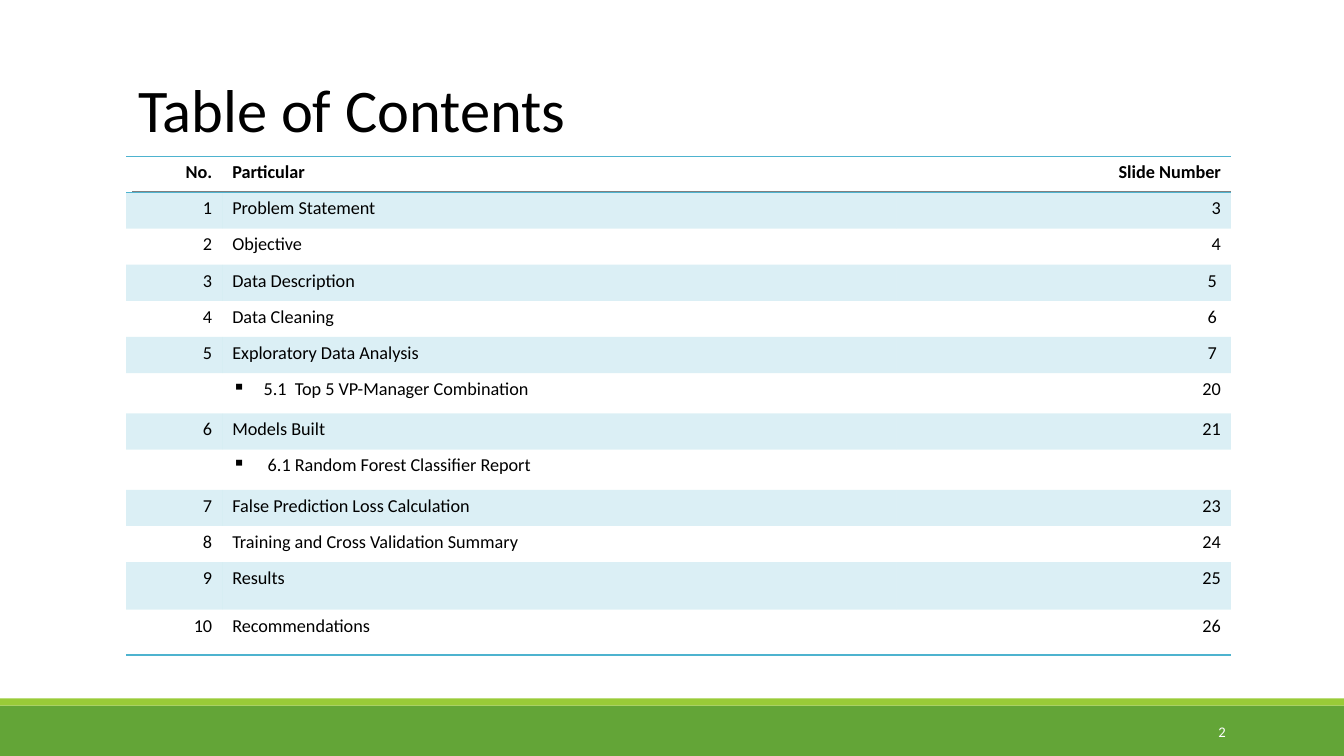
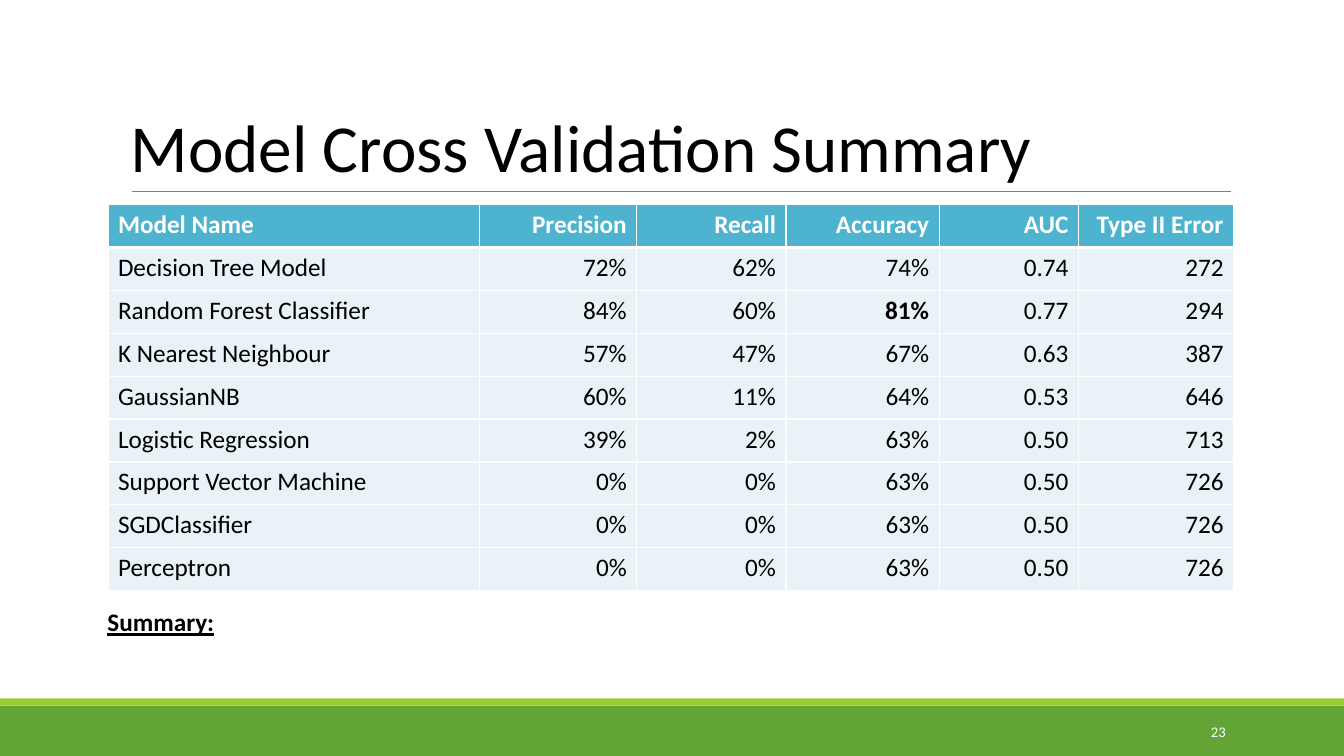
from lxml.etree import SubElement
from pptx import Presentation
from pptx.dml.color import RGBColor
from pptx.enum.shapes import MSO_CONNECTOR, MSO_SHAPE
from pptx.enum.text import MSO_ANCHOR, MSO_AUTO_SIZE, PP_ALIGN
from pptx.oxml.ns import qn
from pptx.util import Cm, Pt

FONT = "Calibri"
BLACK, WHITE, GRAY = "000000", "FFFFFF", "808080"
GREEN, LIME = "63A537", "99CB38"
BLUE, PALE_BLUE = "4EB3CF", "E9F2F6"
SLIDE_WIDTH, SLIDE_HEIGHT = 33.87, 19.05
NO_STYLE = "{2D5ABB26-0587-4C30-8999-92F81FD0307C}"
LEFT, RIGHT = PP_ALIGN.LEFT, PP_ALIGN.RIGHT

CONTENTS = [
    ("No.", "Particular", "Slide Number"),
    ("1", "Problem Statement", "3"),
    ("2", "Objective", "4"),
    ("3", "Data Description", "5 "),
    ("4", "Data Cleaning", "6 "),
    ("5", "Exploratory Data Analysis", "7 "),
    ("", "5.1  Top 5 VP-Manager Combination", "20"),
    ("6", "Models Built", "21"),
    ("", " 6.1 Random Forest Classifier Report", ""),
    ("7", "False Prediction Loss Calculation", "23"),
    ("8", "Training and Cross Validation Summary", "24"),
    ("9", "Results", "25"),
    ("10", "Recommendations", "26"),
]
MODELS = [
    ("Model Name", "Precision", "Recall", "Accuracy", "AUC", "Type II Error"),
    ("Decision Tree Model", "72%", "62%", "74%", "0.74", "272"),
    ("Random Forest Classifier", "84%", "60%", "81%", "0.77", "294"),
    ("K Nearest Neighbour", "57%", "47%", "67%", "0.63", "387"),
    ("GaussianNB", "60%", "11%", "64%", "0.53", "646"),
    ("Logistic Regression", "39%", "2%", "63%", "0.50", "713"),
    ("Support Vector Machine", "0%", "0%", "63%", "0.50", "726"),
    ("SGDClassifier", "0%", "0%", "63%", "0.50", "726"),
    ("Perceptron", "0%", "0%", "63%", "0.50", "726"),
]
BEST_ACCURACY = (2, 3)


def color(value):
    return RGBColor.from_string(value)


def box(*lengths):
    return [Cm(length) for length in lengths]


def write(frame, text, size, fill=BLACK, align=LEFT, **formats):
    paragraph = frame.paragraphs[0]
    paragraph.alignment = align
    run = paragraph.add_run()
    run.text = text
    run.font.color.rgb = color(fill)
    values = {"name": FONT, "size": Pt(size), "bold": False, **formats}
    for name, value in values.items():
        setattr(run.font, name, value)
    return paragraph


def add_band(slide, top, height, fill):
    band = slide.shapes.add_shape(MSO_SHAPE.RECTANGLE, *box(0, top, SLIDE_WIDTH, height))
    band.shadow.inherit = False
    band.fill.solid()
    band.fill.fore_color.rgb = color(fill)
    band.line.fill.background()


def add_rule(slide):
    rule = slide.shapes.add_connector(MSO_CONNECTOR.STRAIGHT, *box(3.33, 4.83, 31.01, 4.83))
    rule.line.color.rgb = color(GRAY)
    rule.line.width = Pt(0.5)
    SubElement(rule._element.spPr, qn("a:effectLst"))


def add_text(slide, place, text, size, anchor=MSO_ANCHOR.TOP, **formats):
    frame = slide.shapes.add_textbox(*box(*place)).text_frame
    frame.word_wrap = True
    frame.vertical_anchor = anchor
    write(frame, text, size, **formats)


def set_title(slide, text, size, place, margin_left):
    title = slide.shapes.title
    title.left, title.top, title.width, title.height = box(*place)
    values = {"auto_size": MSO_AUTO_SIZE.NONE, "word_wrap": True,
              "vertical_anchor": MSO_ANCHOR.BOTTOM, "margin_left": Cm(margin_left)}
    for name, value in values.items():
        setattr(title.text_frame, name, value)
    write(title.text_frame, text, size).line_spacing = 0.85


def add_slide(presentation, number, title, size, place, margin_left=0.25):
    slide = presentation.slides.add_slide(presentation.slide_layouts[5])
    add_band(slide, 17.78, 1.27, GREEN)
    add_band(slide, 17.6, 0.18, LIME)
    add_rule(slide)
    set_title(slide, title, size, place, margin_left)
    add_text(slide, (27.51, 17.93, 3.63, 1.02), number, 10.5, MSO_ANCHOR.MIDDLE,
             fill=WHITE, align=RIGHT)
    return slide


def add_table(slide, left, top, widths, heights):
    place = box(left, top, sum(widths), sum(heights))
    table = slide.shapes.add_table(len(heights), len(widths), *place).table
    table.first_row = table.horz_banding = False
    table._tbl.tblPr.find(qn("a:tableStyleId")).text = NO_STYLE
    for column, width in zip(table.columns, widths):
        column.width = Cm(width)
    for row, height in zip(table.rows, heights):
        row.height = Cm(height)
    return table


def add_solid(parent, fill):
    solid = SubElement(parent, qn("a:solidFill"))
    return SubElement(solid, qn("a:srgbClr"), val=fill)


def set_borders(cell, fill, **widths):
    properties = cell._tc.get_or_add_tcPr()
    for side in "LRTB":
        if side in widths:
            line = SubElement(properties, qn("a:ln" + side), w=str(Pt(widths[side])))
            add_solid(line, fill)


def fill_cell(cell, fill, alpha=100):
    shade = add_solid(cell._tc.get_or_add_tcPr(), fill)
    if alpha < 100:
        SubElement(shade, qn("a:alpha"), val=str(alpha * 1000))


def add_bullet(paragraph):
    properties = paragraph._p.get_or_add_pPr()
    properties.set("marL", str(Cm(0.79)))
    properties.set("indent", str(-Cm(0.79)))
    SubElement(properties, qn("a:buChar"), char="▪")


def add_contents_table(slide):
    heights = [0.91] * 11 + [1.2, 1.14]
    table = add_table(slide, 3.18, 3.94, (2.42, 16.99, 8.43), heights)
    borders = {0: {"T": 1, "B": 1}, len(CONTENTS) - 1: {"B": 1}}
    for row, texts in enumerate(CONTENTS):
        for column, text in enumerate(texts):
            cell = table.cell(row, column)
            align = LEFT if column == 1 else RIGHT
            paragraph = write(cell.text_frame, text, 13, align=align, bold=row == 0)
            if column == 1 and not texts[0]:
                add_bullet(paragraph)
            set_borders(cell, BLUE, **borders.get(row, {}))
            if row % 2:
                fill_cell(cell, BLUE, 20)


def add_model_table(slide):
    widths = (9.37, 3.96, 3.76, 3.86, 3.51, 3.91)
    table = add_table(slide, 2.72, 5.16, widths, [1.08] * len(MODELS))
    for row, texts in enumerate(MODELS):
        header = row == 0
        for column, text in enumerate(texts):
            cell = table.cell(row, column)
            write(cell.text_frame, text, 18, WHITE if header else BLACK,
                  RIGHT if column else LEFT,
                  bold=header or (row, column) == BEST_ACCURACY)
            set_borders(cell, WHITE, L=1, R=1, T=3 if row == 1 else 1, B=3 if header else 1)
            fill_cell(cell, BLUE if header else PALE_BLUE)


def main():
    presentation = Presentation()
    presentation.slide_width, presentation.slide_height = box(SLIDE_WIDTH, SLIDE_HEIGHT)

    contents = add_slide(presentation, "2", "Table of Contents", 43.2,
                         (2.9, 0.79, 24.61, 3), 0.58)
    add_contents_table(contents)

    models = add_slide(presentation, "23", "Model Cross Validation Summary", 48,
                       (3.05, 0.79, 27.94, 4.04))
    add_model_table(models)
    add_text(models, (2.46, 15.16, 28.88, 1.8), "Summary:", 18, bold=True, underline=True)

    presentation.save("out.pptx")


main()
